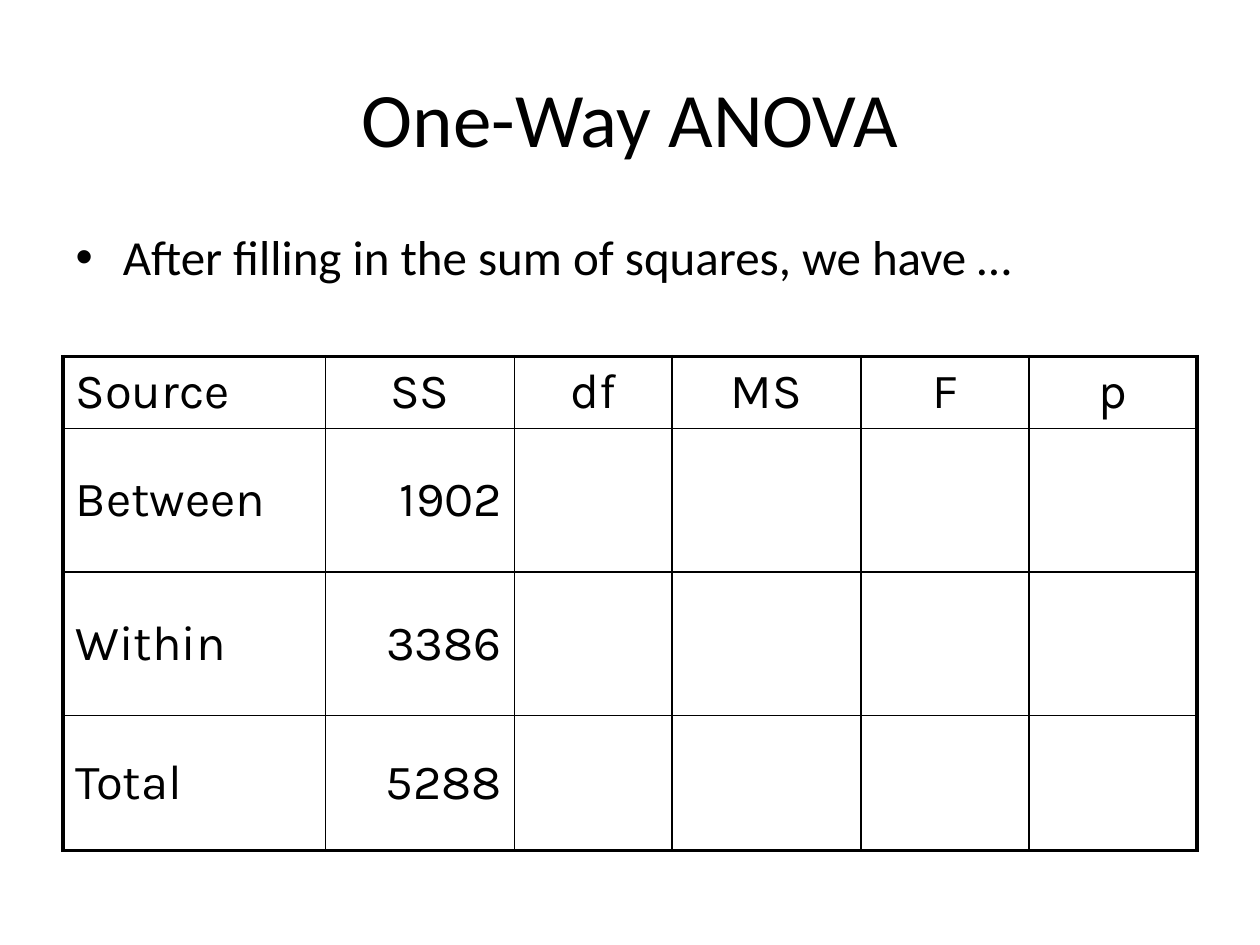
from dataclasses import dataclass

from lxml.etree import SubElement
from pptx import Presentation
from pptx.dml.color import RGBColor
from pptx.enum.text import MSO_ANCHOR, MSO_AUTO_SIZE, PP_ALIGN
from pptx.oxml.ns import qn
from pptx.util import Inches, Pt

BLACK = RGBColor(0, 0, 0)
WHITE = RGBColor(255, 255, 255)
MARGIN = 0.5
CONTENT_WIDTH = 9
COLUMN_UNITS = (25, 18, 15, 18, 16, 16)
ROW_HEIGHTS = (0.57, 1.14, 1.14, 1.07)
TABLE_TOP = 2.83
OUTER_LINE, INNER_LINE = Pt(2.25), Pt(1)

HEADINGS = ("Source", "SS", "df", "MS", "F", "p")
SUMS_OF_SQUARES = (("Between", "1902"), ("Within", "3386"), ("Total", "5288"))


@dataclass(frozen=True)
class TextBlock:
    wording: str
    top: float
    height: float
    size: int
    align: PP_ALIGN
    anchor: MSO_ANCHOR


TITLE = TextBlock("One-Way ANOVA", 0.3, 1.25, 44, PP_ALIGN.CENTER, MSO_ANCHOR.MIDDLE)
LEAD_IN = TextBlock("After filling in the sum of squares, we have …",
                    1.75, 0.75, 28, PP_ALIGN.LEFT, MSO_ANCHOR.TOP)


def format_paragraph(paragraph, align: PP_ALIGN, face: str, size: int) -> None:
    paragraph.alignment = align
    for attribute, value in {"name": face, "size": Pt(size), "bold": False}.items():
        setattr(paragraph.font, attribute, value)
    paragraph.font.color.rgb = BLACK


def fill_placeholder(placeholder, block: TextBlock) -> None:
    position = {"left": MARGIN, "top": block.top,
                "width": CONTENT_WIDTH, "height": block.height}
    for attribute, inches in position.items():
        setattr(placeholder, attribute, Inches(inches))
    frame = placeholder.text_frame
    frame.text = block.wording
    frame.auto_size = MSO_AUTO_SIZE.NONE
    frame.vertical_anchor = block.anchor
    format_paragraph(frame.paragraphs[0], block.align, "Calibri", block.size)


def add_borders(cell, outer_sides: dict[str, bool]) -> None:
    """Line each side, heavily where it lies on the table's edge."""
    properties = cell._tc.get_or_add_tcPr()
    for index, (side, is_outer) in enumerate(outer_sides.items()):
        width = OUTER_LINE if is_outer else INNER_LINE
        line = SubElement(properties, qn(f"a:ln{side}"), w=str(int(width)))
        fill = SubElement(line, qn("a:solidFill"))
        SubElement(fill, qn("a:srgbClr"), val=str(BLACK))
        properties.insert(index, line)


def cell_alignment(row: int, column: int) -> PP_ALIGN:
    if column == 0:
        return PP_ALIGN.LEFT
    return PP_ALIGN.CENTER if row == 0 else PP_ALIGN.RIGHT


def add_anova_table(slide) -> None:
    entries = (HEADINGS, *SUMS_OF_SQUARES)
    last_row, last_column = len(entries) - 1, len(HEADINGS) - 1
    table = slide.shapes.add_table(
        len(entries), len(HEADINGS), Inches(MARGIN), Inches(TABLE_TOP),
        Inches(CONTENT_WIDTH), Inches(sum(ROW_HEIGHTS))).table
    for flag in ("first_row", "horz_banding"):
        setattr(table, flag, False)
    for column, units in zip(table.columns, COLUMN_UNITS):
        column.width = Inches(CONTENT_WIDTH * units / sum(COLUMN_UNITS))
    for row, height in zip(table.rows, ROW_HEIGHTS):
        row.height = Inches(height)

    for r, row_entries in enumerate(entries):
        for c in range(len(HEADINGS)):
            cell = table.cell(r, c)
            cell.fill.solid()
            cell.fill.fore_color.rgb = WHITE
            cell.vertical_anchor = MSO_ANCHOR.MIDDLE
            if c < len(row_entries):
                cell.text = row_entries[c]
            format_paragraph(cell.text_frame.paragraphs[0],
                             cell_alignment(r, c), "Karla", 28)
            add_borders(cell, {"L": c == 0, "R": c == last_column,
                               "T": r == 0, "B": r == last_row})


def main() -> None:
    presentation = Presentation()
    presentation.slide_width, presentation.slide_height = Inches(10), Inches(7.5)
    slide = presentation.slides.add_slide(presentation.slide_layouts[1])
    for placeholder, block in zip(slide.placeholders, (TITLE, LEAD_IN)):
        fill_placeholder(placeholder, block)
    add_anova_table(slide)
    presentation.save("out.pptx")


if __name__ == "__main__":
    main()
